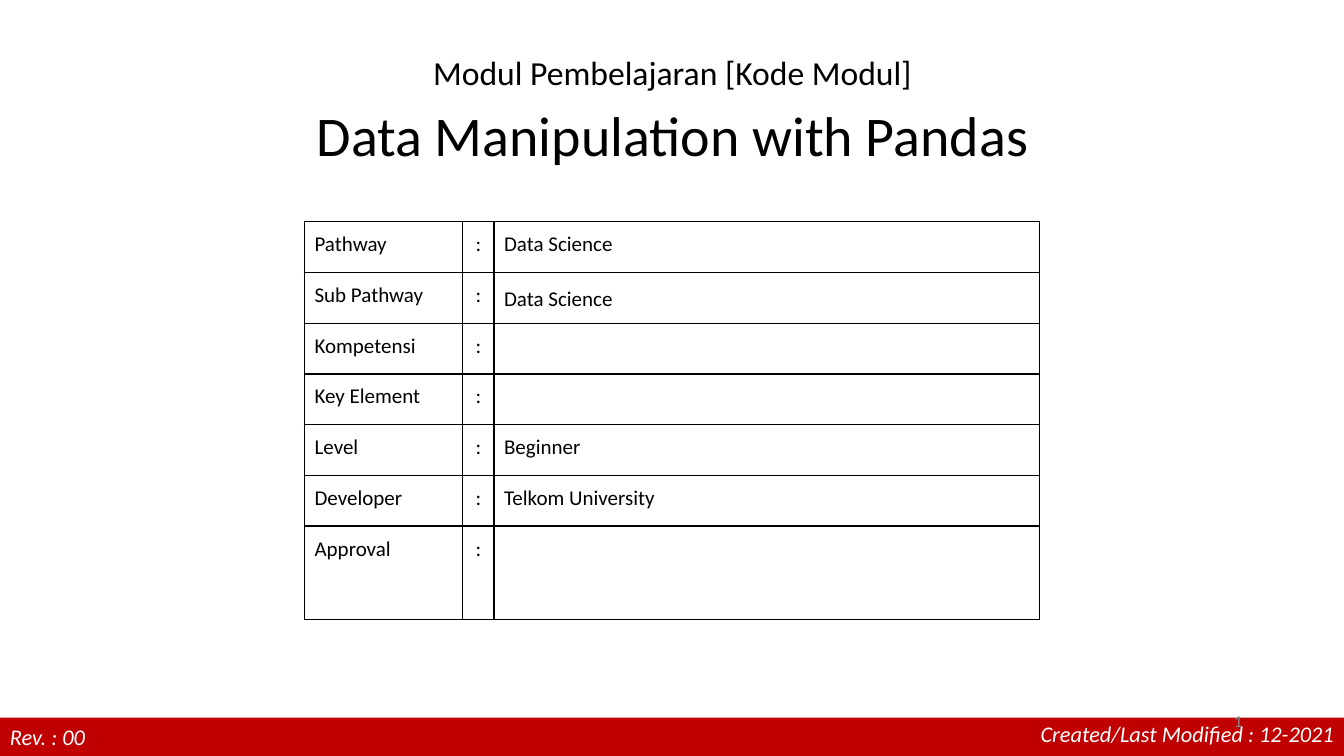
from dataclasses import dataclass

from lxml.etree import SubElement
from pptx import Presentation
from pptx.dml.color import RGBColor
from pptx.enum.shapes import MSO_SHAPE as Shape
from pptx.enum.text import MSO_ANCHOR as Anchor, PP_ALIGN as Align
from pptx.oxml.ns import qn
from pptx.util import Inches, Pt

COLORS = {"text": "000000", "band": "C00000", "footer": "FFFFFF", "number": "8C8C8C"}
FONT = "Calibri"


@dataclass
class Label:
    text: str
    left: float
    top: float
    width: float
    height: float
    size: int
    color: str
    align: Align = Align.LEFT
    anchor: Anchor = Anchor.TOP
    italic: bool = False


@dataclass
class Field:
    name: str
    value: str = ""
    spacing: float = 1.0


LABELS = [
    Label("Rev. : 00", 0, 7.12, 2.12, 0.37, 16, "footer", italic=True),
    Label("Created/Last Modified : 12-2021", 9.41, 7.1, 3.92, 0.37, 16, "footer",
          Align.RIGHT, italic=True),
    Label("1", 9.42, 6.95, 3, 0.4, 12, "number", Align.RIGHT, Anchor.MIDDLE),
]
FIELDS = [
    Field("Pathway", "Data Science"),
    Field("Sub Pathway", "Data Science", 1.15),
    Field("Kompetensi"),
    Field("Key Element"),
    Field("Level", "Beginner"),
    Field("Developer", "Telkom University"),
    Field("Approval"),
]
TABLE_HEIGHT, APPROVAL_HEIGHT = 3.95, 0.93
COLUMN_WIDTHS = [1.57, 0.31, 5.41]


def rgb(name: str) -> RGBColor:
    return RGBColor.from_string(COLORS[name])


def style(p, size: float, color: str = "text", align: Align = Align.LEFT) -> None:
    p.alignment = align
    p.font.name = FONT
    p.font.size = Pt(size)
    p.font.color.rgb = rgb(color)


def add_label(slide, label: Label) -> None:
    box = slide.shapes.add_textbox(Inches(label.left), Inches(label.top),
                                   Inches(label.width), Inches(label.height))
    tf = box.text_frame
    tf.word_wrap = True
    tf.vertical_anchor = label.anchor
    p = tf.paragraphs[0]
    p.text = label.text
    style(p, label.size, label.color, label.align)
    p.font.italic = label.italic


def add_borders(cell) -> None:
    tc_pr = cell._tc.get_or_add_tcPr()
    for i, side in enumerate(("a:lnL", "a:lnR", "a:lnT", "a:lnB")):
        ln = tc_pr.makeelement(qn(side), {"w": str(Pt(1))})
        fill = SubElement(ln, qn("a:solidFill"))
        SubElement(fill, qn("a:srgbClr"), val=COLORS["text"])
        tc_pr.insert(i, ln)


def fill_cell(cell, text: str, align: Align, spacing: float) -> None:
    cell.margin_left = cell.margin_right = Inches(0.1)
    cell.margin_top = cell.margin_bottom = Inches(0.1 if text else 0.05)
    cell.fill.background()
    p = cell.text_frame.paragraphs[0]
    p.text = text
    style(p, 15, align=align)
    p.line_spacing = spacing
    add_borders(cell)


def add_field_table(slide, fields: list[Field]) -> None:
    table = slide.shapes.add_table(
        len(fields), len(COLUMN_WIDTHS), Inches(3.02), Inches(2.2),
        Inches(sum(COLUMN_WIDTHS)), Inches(TABLE_HEIGHT)).table
    table.first_row = table.horz_banding = False
    for column, width in zip(table.columns, COLUMN_WIDTHS):
        column.width = Inches(width)
    row_height = (TABLE_HEIGHT - APPROVAL_HEIGHT) / (len(fields) - 1)
    for i, field in enumerate(fields):
        is_last = i == len(fields) - 1
        table.rows[i].height = Inches(APPROVAL_HEIGHT if is_last else row_height)
        fill_cell(table.cell(i, 0), field.name, Align.LEFT, 1.0)
        fill_cell(table.cell(i, 1), ":", Align.CENTER, 1.0)
        fill_cell(table.cell(i, 2), field.value, Align.LEFT, field.spacing)


def add_heading(slide) -> None:
    title, subtitle = slide.placeholders
    title.element.getparent().remove(title.element)
    subtitle.left, subtitle.top = Inches(1.67), Inches(0.51)
    subtitle.width, subtitle.height = Inches(10), Inches(1.69)
    tf = subtitle.text_frame
    tf.text = "Modul Pembelajaran [Kode Modul]\nData Manipulation with Pandas"
    for p, size, before in zip(tf.paragraphs, (24, 40), (0, 10.7)):
        style(p, size, align=Align.CENTER)
        p.line_spacing = 0.9
        p.space_before = Pt(before)


def main() -> None:
    prs = Presentation()
    prs.slide_width, prs.slide_height = Inches(13.33), Inches(7.5)
    slide = prs.slides.add_slide(prs.slide_layouts[0])

    # Heading
    add_heading(slide)

    # Footer band
    band = slide.shapes.add_shape(Shape.RECTANGLE, 0, Inches(7.12),
                                  prs.slide_width, Inches(0.4))
    band.shadow.inherit = False
    band.fill.solid()
    band.fill.fore_color.rgb = rgb("band")
    band.line.fill.background()

    # Module details
    add_field_table(slide, FIELDS)

    # Footer texts and slide number
    for label in LABELS:
        add_label(slide, label)

    prs.save("out.pptx")


if __name__ == "__main__":
    main()
